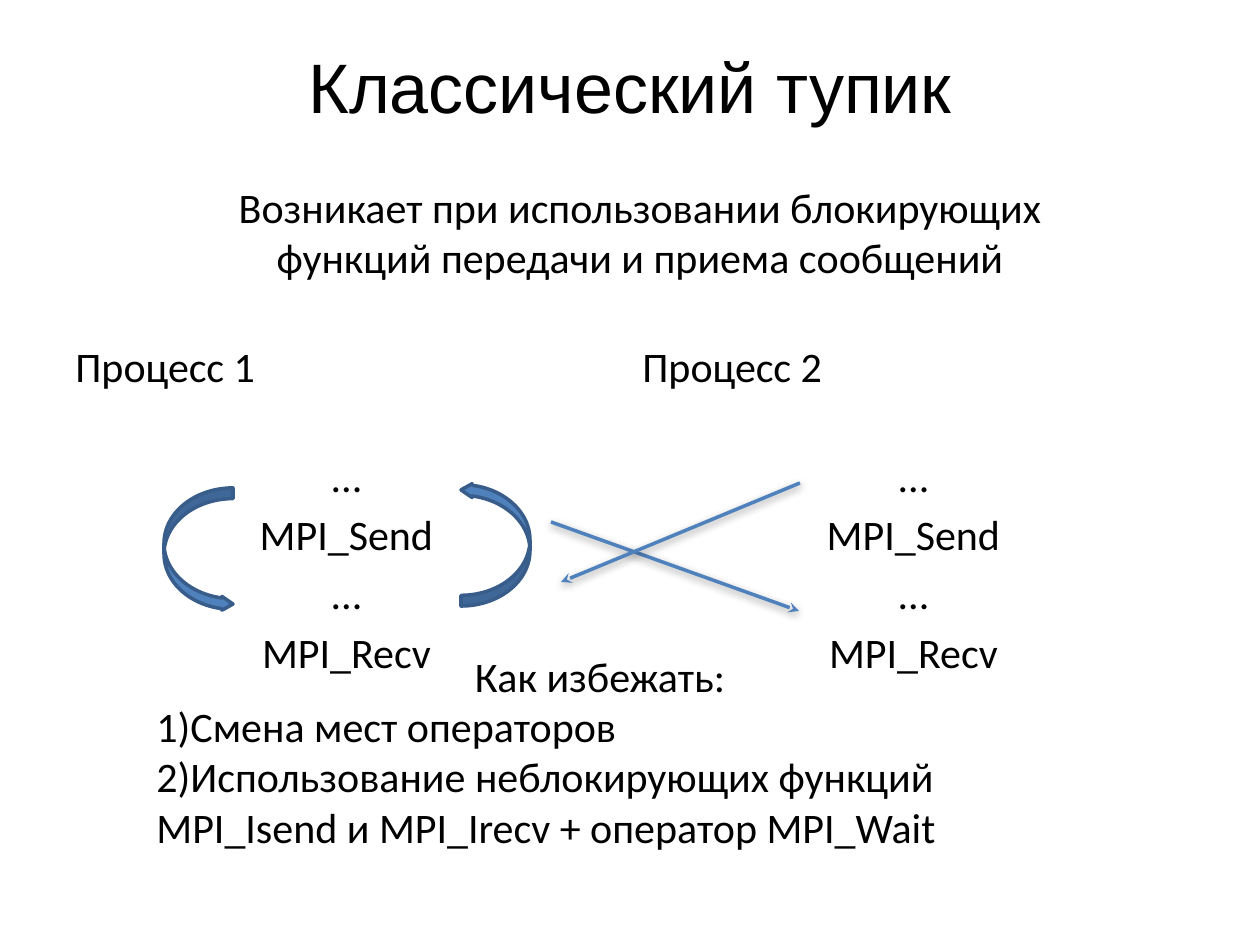
from typing import NamedTuple

from lxml.etree import SubElement
from pptx import Presentation
from pptx.dml.color import RGBColor
from pptx.enum.shapes import MSO_CONNECTOR, MSO_SHAPE
from pptx.enum.text import MSO_ANCHOR as Anchor, PP_ALIGN as Align
from pptx.oxml.ns import qn
from pptx.slide import Slide
from pptx.text.text import _Paragraph as Paragraph
from pptx.util import Emu, Pt

EMU_PER_PX = 914400 / 126
BLACK = RGBColor(0x00, 0x00, 0x00)
BLUE = RGBColor(0x4F, 0x81, 0xBD)
DARK_BLUE = RGBColor(0x38, 0x5D, 0x8A)
ARROW_ADJUSTMENTS = (0.155, 0.2, 0.16)
CALLS = ("...", "MPI_Send", "...", "MPI_Recv")


class Line(NamedTuple):
    text: str
    align: Align = Align.CENTER
    space_before: float = 0
    numbered: bool = False


class TextBlock(NamedTuple):
    left: int
    top: int
    width: int
    height: int
    lines: list[Line]
    size: int = 24
    font: str = "Calibri"
    anchor: Anchor = Anchor.TOP


class Message(NamedTuple):
    begin_x: int
    begin_y: int
    end_x: int
    end_y: int


class CurvedArrow(NamedTuple):
    left: int
    top: int
    rotation: int


def px(value: int) -> Emu:
    return Emu(round(value * EMU_PER_PX))


def process_block(number: int) -> TextBlock:
    lines = [Line(f"Процесс {number}", Align.LEFT)]
    lines += [Line(call, space_before=4.8 if index else 34)
              for index, call in enumerate(CALLS)]
    return TextBlock(63 + 567 * (number - 1), 334, 567, 307, lines)


TEXT_BLOCKS = [
    TextBlock(63, 6, 1134, 158, [Line("Классический тупик")],
              40, "Arial", Anchor.MIDDLE),
    process_block(1),
    process_block(2),
    TextBlock(184, 175, 912, 115, [
        Line("Возникает при использовании блокирующих функций передачи "
             "и приема сообщений"),
    ]),
    TextBlock(144, 644, 912, 217, [
        Line("Как избежать:"),
        Line("Смена мест операторов", Align.LEFT, numbered=True),
        Line("Использование неблокирующих функций MPI_Isend и MPI_Irecv "
             "+ оператор MPI_Wait", Align.LEFT, numbered=True),
    ]),
]
MESSAGES = [Message(551, 522, 799, 611), Message(800, 483, 561, 582)]
CURVED_ARROWS = [CurvedArrow(164, 488, 0), CurvedArrow(461, 483, 180)]


def add_number(paragraph: Paragraph) -> None:
    properties = paragraph._p.get_or_add_pPr()
    properties.set("marL", "0")
    properties.set("indent", str(px(-21)))
    SubElement(properties, qn("a:buFont"), typeface="+mj-lt")
    SubElement(properties, qn("a:buAutoNum"), type="arabicParenR")


def add_text(slide: Slide, block: TextBlock) -> None:
    shape = slide.shapes.add_textbox(
        px(block.left), px(block.top), px(block.width), px(block.height))
    frame = shape.text_frame
    frame.word_wrap = True
    frame.vertical_anchor = block.anchor
    for index, line in enumerate(block.lines):
        paragraph = frame.add_paragraph() if index else frame.paragraphs[0]
        paragraph.text = line.text
        paragraph.alignment = line.align
        paragraph.space_before = Pt(line.space_before)
        if line.numbered:
            add_number(paragraph)
        paragraph.font.name = block.font
        paragraph.font.size = Pt(block.size)
        paragraph.font.color.rgb = BLACK


def add_message(slide: Slide, message: Message) -> None:
    connector = slide.shapes.add_connector(
        MSO_CONNECTOR.STRAIGHT, *(px(value) for value in message))
    connector.line.color.rgb = BLUE
    connector.line.width = Pt(2)
    SubElement(connector.line._get_or_add_ln(), qn("a:tailEnd"), type="stealth")
    effects = SubElement(connector._element.spPr, qn("a:effectLst"))
    shadow = SubElement(effects, qn("a:outerShdw"), blurRad=str(Pt(5)),
                        dist=str(Pt(1.6)), dir="5400000", rotWithShape="0")
    color = SubElement(shadow, qn("a:srgbClr"), val=str(BLACK))
    SubElement(color, qn("a:alpha"), val="38000")


def add_curved_arrow(slide: Slide, arrow: CurvedArrow) -> None:
    shape = slide.shapes.add_shape(
        MSO_SHAPE.CURVED_RIGHT_ARROW,
        px(arrow.left), px(arrow.top), px(69), px(123))
    shape.rotation = arrow.rotation
    for index, value in enumerate(ARROW_ADJUSTMENTS):
        shape.adjustments[index] = value
    shape.shadow.inherit = False
    shape.fill.solid()
    shape.fill.fore_color.rgb = BLUE
    shape.line.color.rgb = DARK_BLUE
    shape.line.width = Pt(2)


def main() -> None:
    presentation = Presentation()
    presentation.slide_width = px(1260)
    presentation.slide_height = px(945)
    slide = presentation.slides.add_slide(presentation.slide_layouts[6])
    for block in TEXT_BLOCKS:
        add_text(slide, block)
    for message in MESSAGES:
        add_message(slide, message)
    for arrow in CURVED_ARROWS:
        add_curved_arrow(slide, arrow)
    presentation.save("out.pptx")


if __name__ == "__main__":
    main()
